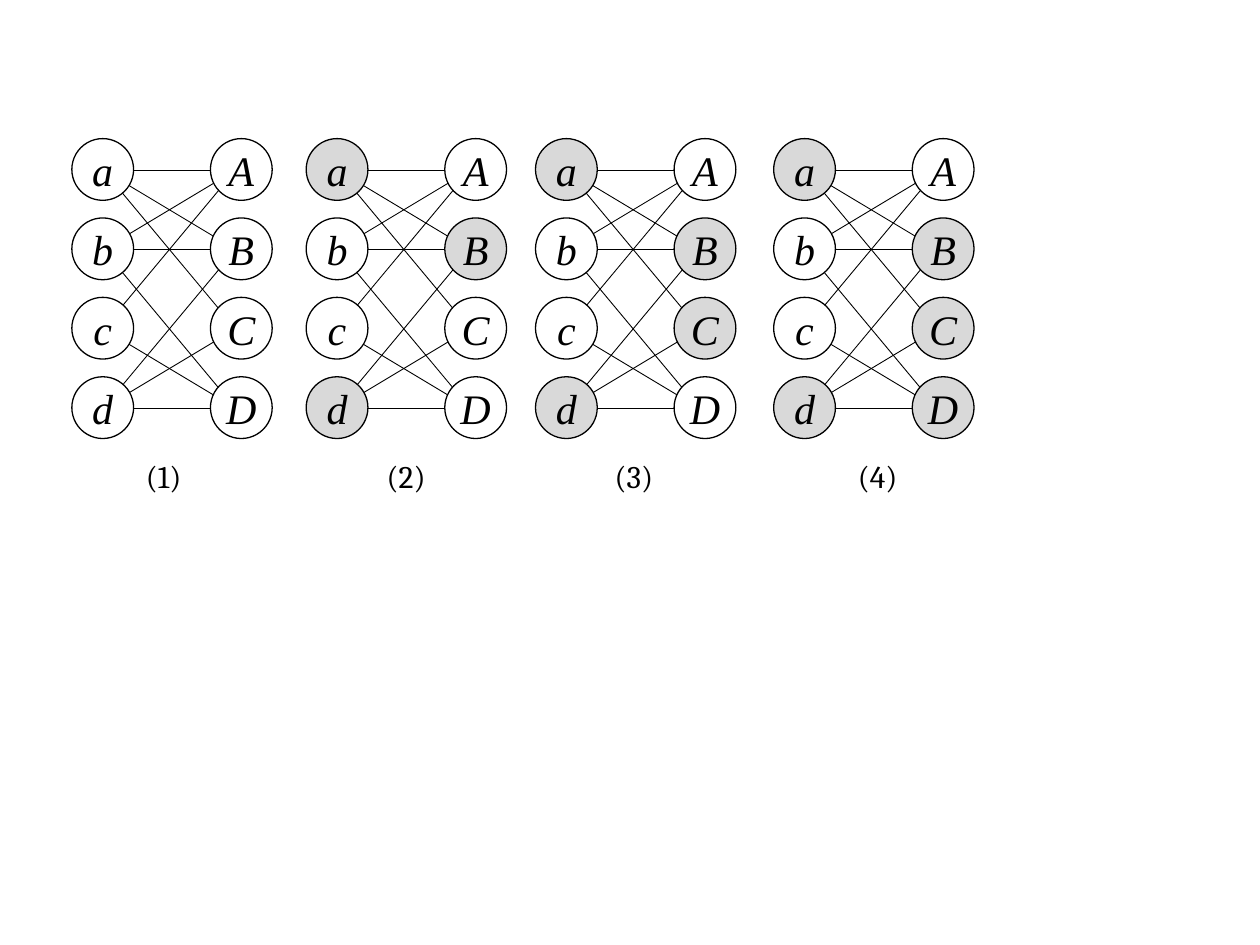
import pptx
import pptx.util
import pptx.dml.color
import pptx.enum.shapes
import pptx.enum.text
import lxml.etree

Inches = pptx.util.Inches
Pt = pptx.util.Pt
RGBColor = pptx.dml.color.RGBColor

BLACK = RGBColor(0x00, 0x00, 0x00)
WHITE = RGBColor(0xFF, 0xFF, 0xFF)
GRAY = RGBColor(0xD9, 0xD9, 0xD9)


class Board:
    """Drawing style and the current slide."""
    serif = "Times New Roman"
    label = "Cambria"
    size = 0.49

    def __init__(self, slide):
        self.shapes = slide.shapes

    def style(self, frame, font, size, italic=None):
        for run in frame.paragraphs[0].runs:
            run.font.name = font
            run.font.size = Pt(size)
            run.font.italic = italic
            run.font.color.rgb = BLACK

    def edge(self, x1, y1, x2, y2):
        line = self.shapes.add_connector(
            pptx.enum.shapes.MSO_CONNECTOR.STRAIGHT,
            Inches(x1), Inches(y1), Inches(x2), Inches(y2))
        line.line.color.rgb = BLACK
        line.line.width = Pt(0.5)
        props = line._element.spPr
        lxml.etree.SubElement(props, pptx.oxml.ns.qn("a:effectLst"))

    def node(self, x, y, name, fill):
        oval = self.shapes.add_shape(
            pptx.enum.shapes.MSO_SHAPE.OVAL,
            Inches(x), Inches(y), Inches(self.size), Inches(self.size))
        oval.shadow.inherit = False
        oval.fill.solid()
        oval.fill.fore_color.rgb = fill
        oval.line.color.rgb = BLACK
        oval.line.width = Pt(0.75)
        frame = oval.text_frame
        frame.margin_left = frame.margin_right = 0
        frame.margin_top = frame.margin_bottom = 0
        frame.vertical_anchor = pptx.enum.text.MSO_ANCHOR.MIDDLE
        frame.text = name
        frame.paragraphs[0].alignment = pptx.enum.text.PP_ALIGN.CENTER
        self.style(frame, self.serif, 24, True)

    def caption(self, x, y, text):
        # The right margin is trimmed so the text has room on one line
        box = self.shapes.add_textbox(
            Inches(x), Inches(y), Inches(0.51), Inches(0.4))
        frame = box.text_frame
        frame.margin_right = Inches(0.05)
        frame.word_wrap = False
        frame.auto_size = pptx.enum.text.MSO_AUTO_SIZE.NONE
        frame.text = text
        frame.paragraphs[0].alignment = pptx.enum.text.PP_ALIGN.LEFT
        self.style(frame, self.label, 18)


deck = pptx.Presentation()
deck.slide_width = Inches(10)
deck.slide_height = Inches(7.5)
board = Board(deck.slides.add_slide(deck.slide_layouts[6]))

# Graph: two columns of nodes and the edges between them
TOP, STEP, SPAN = 1.1, 0.63, 1.1
COLUMNS = ("abcd", "ABCD")
EDGES = "bB Ab aB aA Ac aC bD Dc Bd Cd Dd".split()

# Each stage: left edge, caption left, shaded nodes
STAGES = [
    (0.57, 1.06, ""),
    (2.43, 2.97, "adB"),
    (4.25, 4.78, "adBC"),
    (6.14, 6.71, "adBCD"),
]

# Line ends sit inside the circles, a little nearer the middle on the right
ENDS = {name: (dx, TOP + 0.25 + row * STEP)
        for dx, names in zip((0.25, 1.3), COLUMNS)
        for row, name in enumerate(names)}

for number, (left, label, shaded) in enumerate(STAGES, 1):
    # Edges lie behind the nodes
    for start, end in EDGES:
        (x1, y1), (x2, y2) = ENDS[start], ENDS[end]
        board.edge(left + x1, y1, left + x2, y2)

    # Nodes
    for col, names in enumerate(COLUMNS):
        for row, name in enumerate(names):
            fill = GRAY if name in shaded else WHITE
            board.node(left + col * SPAN, TOP + row * STEP, name, fill)

    # Stage number
    board.caption(label, 3.58, f"({number})")

deck.save("out.pptx")
